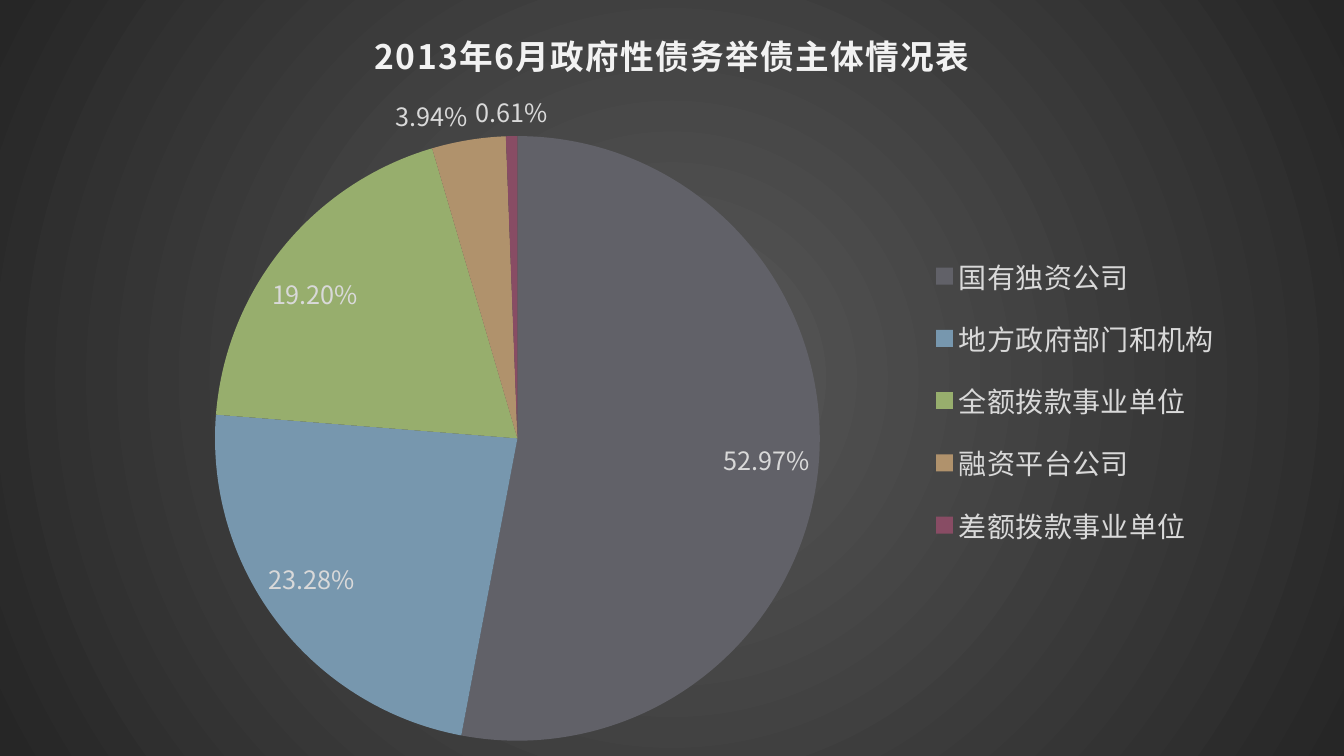
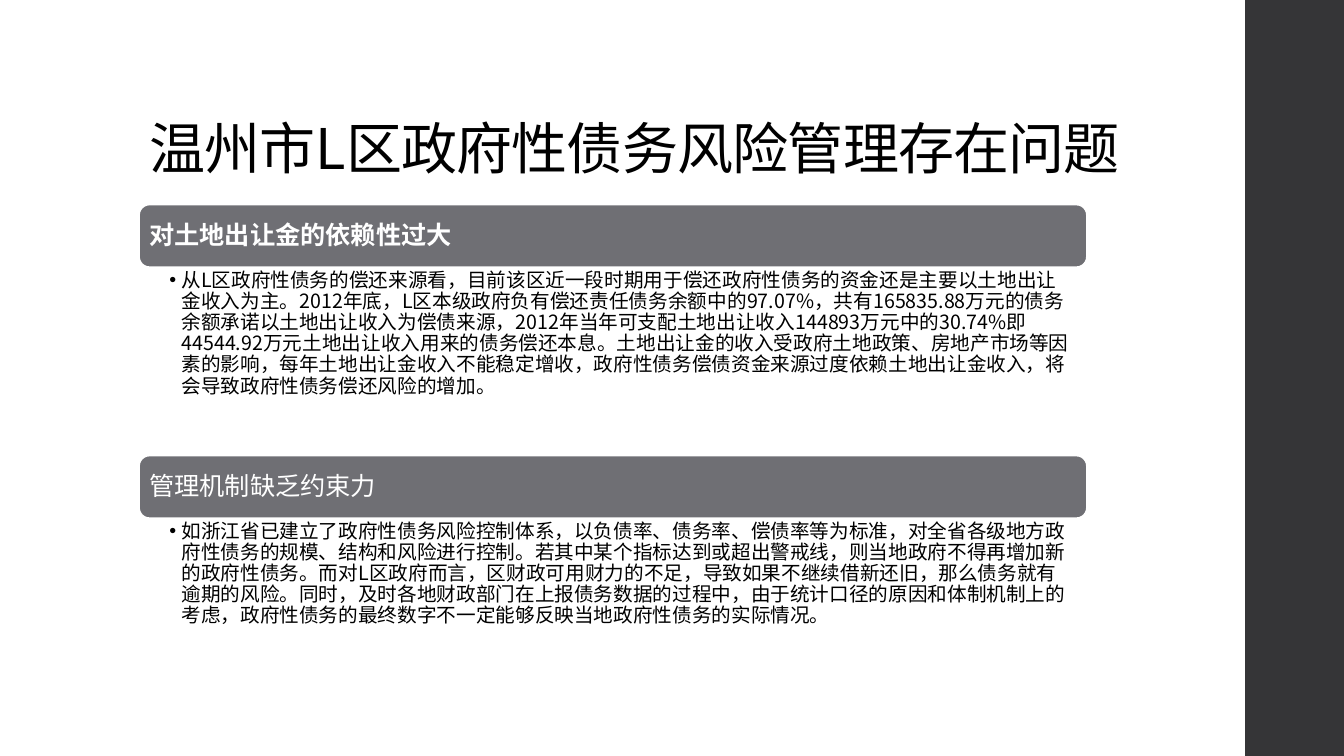
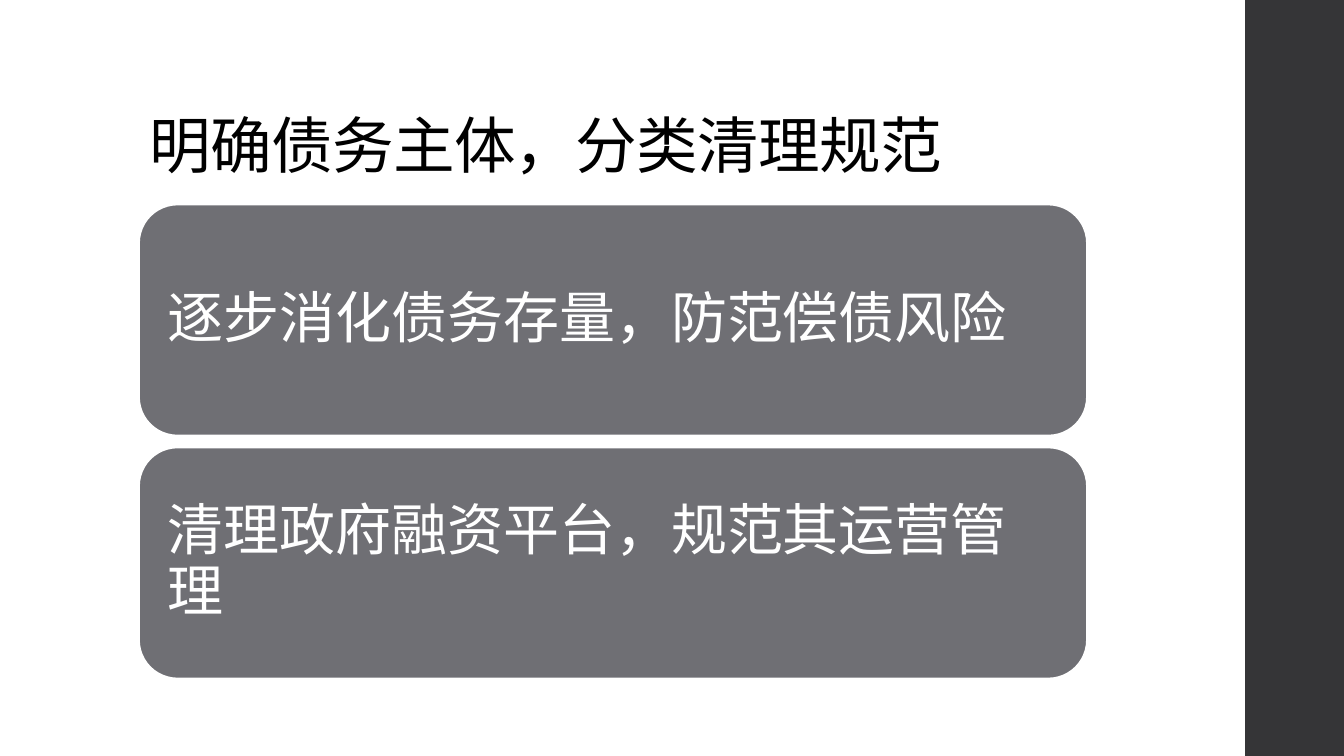
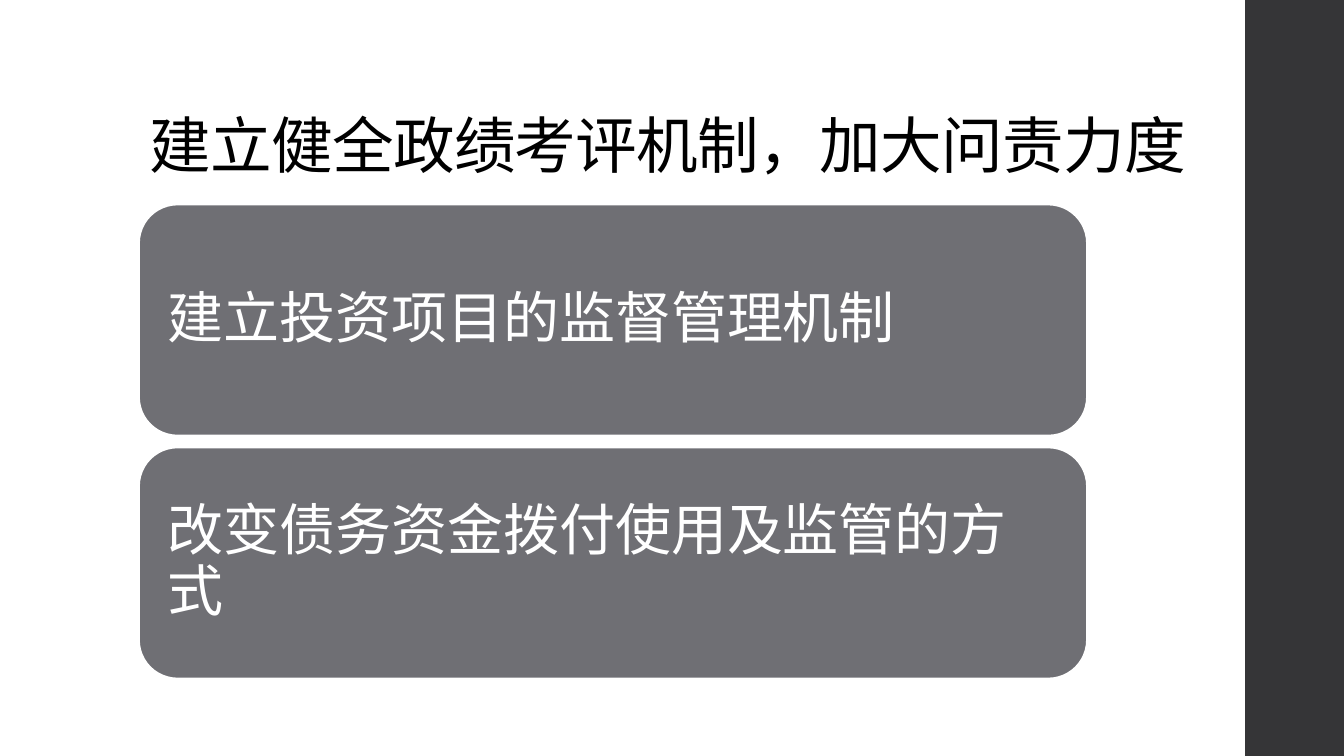
from copy import deepcopy
from dataclasses import dataclass

from lxml import etree
from pptx import Presentation
from pptx.chart.data import CategoryChartData
from pptx.dml.color import RGBColor
from pptx.enum.chart import XL_CHART_TYPE, XL_LABEL_POSITION, XL_LEGEND_POSITION
from pptx.enum.lang import MSO_LANGUAGE_ID
from pptx.enum.shapes import MSO_SHAPE
from pptx.enum.text import MSO_ANCHOR, MSO_AUTO_SIZE, PP_ALIGN
from pptx.oxml import parse_xml
from pptx.oxml.ns import nsdecls, qn
from pptx.util import Inches, Pt

PIE = XL_CHART_TYPE.PIE
BEST_FIT = XL_LABEL_POSITION.BEST_FIT
LEGEND_RIGHT = XL_LEGEND_POSITION.RIGHT
CHINESE = MSO_LANGUAGE_ID.SIMPLIFIED_CHINESE
RECT = MSO_SHAPE.RECTANGLE
ROUND_RECT = MSO_SHAPE.ROUNDED_RECTANGLE
TOP, MIDDLE, BOTTOM = MSO_ANCHOR.TOP, MSO_ANCHOR.MIDDLE, MSO_ANCHOR.BOTTOM
NO_FIT = MSO_AUTO_SIZE.NONE
LEFT_ALIGN = PP_ALIGN.LEFT

FONT = "Noto Sans CJK SC"
COLORS = {
    "text": "000000",
    "white": "FFFFFF",
    "band": "353537",
    "panel": "6F6F74",
    "glow": "595959",
    "edge": "262626",
    "chart_title": "F2F2F2",
    "chart_text": "D9D9D9",
}
SLIDE_W, SLIDE_H = 13.33, 7.5
BAND_X = 12.35
LEFT, STACK_TOP, WIDTH = 1.38, 2.03, 9.4
HEADING_H = 0.62
PANEL_H, PANEL_GAP = 2.29, 0.12
LAYOUT_TWO_BODIES, LAYOUT_TITLE, LAYOUT_BLANK = 3, 5, 6


@dataclass
class Slice:
    name: str
    share: float
    color: str


@dataclass
class Issue:
    heading: str
    detail: str
    detail_h: float
    bold: bool = False


@dataclass
class PanelSlide:
    title: str
    panels: list[str]


SLICES = [
    Slice("国有独资公司", 0.5297, "616168"),
    Slice("地方政府部门和机构", 0.2328, "7797AE"),
    Slice("全额拨款事业单位", 0.192, "97AE6D"),
    Slice("融资平台公司", 0.0394, "B0926C"),
    Slice("差额拨款事业单位", 0.0061, "884C64"),
]
ISSUES = [
    Issue(
        "对土地出让金的依赖性过大",
        "从L区政府性债务的偿还来源看，目前该区近一段时期用于偿还政府性债务的资金还是主要以土地出让金收入为主。"
        "2012年底，L区本级政府负有偿还责任债务余额中的97.07%，共有165835.88万元的债务余额承诺以土地出让收入为偿债来源，"
        "2012年当年可支配土地出让收入144893万元中的30.74%即44544.92万元土地出让收入用来的债务偿还本息。"
        "土地出让金的收入受政府土地政策、房地产市场等因素的影响，每年土地出让金收入不能稳定增收，"
        "政府性债务偿债资金来源过度依赖土地出让金收入，将会导致政府性债务偿还风险的增加。",
        1.87,
        bold=True,
    ),
    Issue(
        "管理机制缺乏约束力",
        "如浙江省已建立了政府性债务风险控制体系，以负债率、债务率、偿债率等为标准，"
        "对全省各级地方政府性债务的规模、结构和风险进行控制。若其中某个指标达到或超出警戒线，则当地政府不得再增加新的政府性债务。"
        "而对L区政府而言，区财政可用财力的不足，导致如果不继续借新还旧，那么债务就有逾期的风险。"
        "同时，及时各地财政部门在上报债务数据的过程中，由于统计口径的原因和体制机制上的考虑，"
        "政府性债务的最终数字不一定能够反映当地政府性债务的实际情况。",
        1.59,
    ),
]
PANEL_SLIDES = [
    PanelSlide("明确债务主体，分类清理规范", ["逐步消化债务存量，防范偿债风险", "清理政府融资平台，规范其运营管理"]),
    PanelSlide("建立健全政绩考评机制，加大问责力度", ["建立投资项目的监督管理机制", "改变债务资金拨付使用及监管的方式"]),
]


def rgb(name: str) -> RGBColor:
    return RGBColor.from_string(COLORS[name])


def style_font(font, size: float, color: str, bold: bool = False, spacing: float = 0) -> None:
    font.size = Pt(size)
    font.bold = bold
    font.color.rgb = rgb(color)
    font.name = FONT
    font.language_id = CHINESE
    rPr = font._rPr
    ea = etree.Element(qn("a:ea"), typeface=FONT)
    rPr.find(qn("a:latin")).addnext(ea)
    if spacing:
        rPr.set("spc", str(round(spacing * 100)))


def write_text(sp, text: str, size: float, color: str, *, bold: bool = False, spacing: float = 0,
               anchor=MIDDLE, insets: tuple = (0.1, 0.05, 0.1, 0.05), bullet: bool = False) -> None:
    tf = sp.text_frame
    tf.word_wrap = True
    tf.auto_size = NO_FIT
    tf.vertical_anchor = anchor
    tf.margin_left, tf.margin_top, tf.margin_right, tf.margin_bottom = map(Inches, insets)
    p = tf.paragraphs[0]
    if bullet:
        pPr = p._p.get_or_add_pPr()
        pPr.set("marL", str(Inches(0.12)))
        pPr.set("indent", str(Inches(-0.12)))
        etree.SubElement(pPr, qn("a:buChar"), char="•")
    p.alignment = LEFT_ALIGN
    p.line_spacing = 0.9
    p.space_before = Pt(0)
    r = p.add_run()
    r.text = text
    style_font(r.font, size, color, bold, spacing)


def move(sp, x: float, y: float, w: float, h: float) -> None:
    sp.left, sp.top, sp.width, sp.height = map(Inches, (x, y, w, h))


def add_box(slide, kind, x: float, y: float, w: float, h: float, fill: str):
    sp = slide.shapes.add_shape(kind, *map(Inches, (x, y, w, h)))
    sp.shadow.inherit = False
    sp.fill.solid()
    sp.fill.fore_color.rgb = rgb(fill)
    sp.line.fill.background()
    return sp


def add_panel(slide, y: float, h: float, text: str, size: float, inset: float, bold: bool = False) -> None:
    sp = add_box(slide, ROUND_RECT, LEFT, y, WIDTH, h, "panel")
    sp.line.color.rgb = rgb("white")
    sp.line.width = Pt(1.1)
    write_text(sp, text, size, "white", bold=bold, insets=(inset,) * 4)


def add_title(slide, text: str, size: float) -> None:
    sp = slide.shapes.title
    move(sp, LEFT, 0.4, 10.6, 1.45)
    write_text(sp, text, size, "text", spacing=-0.5, anchor=BOTTOM)


def add_layout_bands(slide, layouts: list) -> None:
    sp = add_box(slide, RECT, BAND_X, 0, SLIDE_W - BAND_X, SLIDE_H, "band")
    band = sp._element
    band.getparent().remove(band)
    band.nvSpPr.cNvPr.set("id", "20")
    for layout in layouts:
        layout.shapes._spTree.insert(2, deepcopy(band))


def set_layout(parent, index: int, **fractions: float) -> None:
    old = parent.find(qn("c:layout"))
    if old is not None:
        parent.remove(old)
    layout = etree.Element(qn("c:layout"))
    manual = etree.SubElement(layout, qn("c:manualLayout"))
    if parent.tag == qn("c:plotArea"):
        etree.SubElement(manual, qn("c:layoutTarget"), val="inner")
    for key in ("x", "y"):
        etree.SubElement(manual, qn(f"c:{key}Mode"), val="edge")
    for key, value in fractions.items():
        etree.SubElement(manual, qn(f"c:{key}"), val=str(value))
    parent.insert(index, layout)


def fill_chart_area(chart) -> None:
    spPr = parse_xml(
        f'<c:spPr {nsdecls("c", "a")}><a:gradFill><a:gsLst>'
        f'<a:gs pos="0"><a:srgbClr val="{COLORS["glow"]}"/></a:gs>'
        f'<a:gs pos="100000"><a:srgbClr val="{COLORS["edge"]}"/></a:gs></a:gsLst>'
        '<a:path path="circle"><a:fillToRect l="50000" t="50000" r="50000" b="50000"/></a:path>'
        '</a:gradFill><a:ln><a:noFill/></a:ln></c:spPr>'
    )
    chart._chartSpace.find(qn("c:chart")).addnext(spPr)


def add_pie(slide, title: str, slices: list[Slice]) -> None:
    data = CategoryChartData(number_format="0.00%")
    data.categories = [s.name for s in slices]
    data.add_series("Series 1", [s.share for s in slices])
    frame = slide.shapes.add_chart(PIE, 0, 0, Inches(SLIDE_W), Inches(SLIDE_H), data)
    chart = frame.chart
    chart.font.size = Pt(10)
    chart.font.name = "Cambria"
    fill_chart_area(chart)

    chart.has_title = True
    r = chart.chart_title.text_frame.paragraphs[0].add_run()
    r.text = title
    style_font(r.font, 24, "chart_title", bold=True, spacing=1)

    chart.has_legend = True
    chart.legend.position = LEGEND_RIGHT
    chart.legend.include_in_layout = False
    style_font(chart.legend.font, 20, "chart_text")
    set_layout(chart.legend._element, 1, x=0.69, y=0.31, w=0.22, h=0.44)

    plot = chart.plots[0]
    plot.vary_by_categories = True
    for i, s in enumerate(slices):
        fmt = plot.series[0].points[i].format
        fmt.fill.solid()
        fmt.fill.fore_color.rgb = RGBColor.from_string(s.color)
        fmt.line.fill.background()
    plot.has_data_labels = True
    labels = plot.data_labels
    labels.show_value = True
    labels.number_format = "0.00%"
    labels.number_format_is_linked = False
    labels.position = BEST_FIT
    style_font(labels.font, 18, "chart_text")
    set_layout(chart._chartSpace.chart.plotArea, 0, x=0.16, y=0.18, w=0.45, h=0.8)


def add_issues(slide, issues: list[Issue]) -> None:
    y = STACK_TOP
    for body, issue in zip(list(slide.placeholders)[1:], issues):
        add_panel(slide, y, HEADING_H, issue.heading, 18, 0.07, issue.bold)
        y += HEADING_H
        move(body, LEFT, y, WIDTH, issue.detail_h)
        write_text(body, issue.detail, 14, "text", anchor=TOP, insets=(0.3, 0.03, 0.14, 0.03), bullet=True)
        y += issue.detail_h


def main() -> None:
    prs = Presentation()
    prs.slide_width, prs.slide_height = Inches(SLIDE_W), Inches(SLIDE_H)
    layouts = prs.slide_layouts

    slide = prs.slides.add_slide(layouts[LAYOUT_BLANK])
    add_layout_bands(slide, [layouts[LAYOUT_TWO_BODIES], layouts[LAYOUT_TITLE]])
    add_pie(slide, "2013年6月政府性债务举债主体情况表", SLICES)

    slide = prs.slides.add_slide(layouts[LAYOUT_TWO_BODIES])
    add_title(slide, "温州市L区政府性债务风险管理存在问题", 40)
    add_issues(slide, ISSUES)

    for content in PANEL_SLIDES:
        slide = prs.slides.add_slide(layouts[LAYOUT_TITLE])
        add_title(slide, content.title, 44)
        for i, text in enumerate(content.panels):
            add_panel(slide, STACK_TOP + i * (PANEL_H + PANEL_GAP), PANEL_H, text, 40, 0.17)

    prs.save("out.pptx")


if __name__ == "__main__":
    main()
